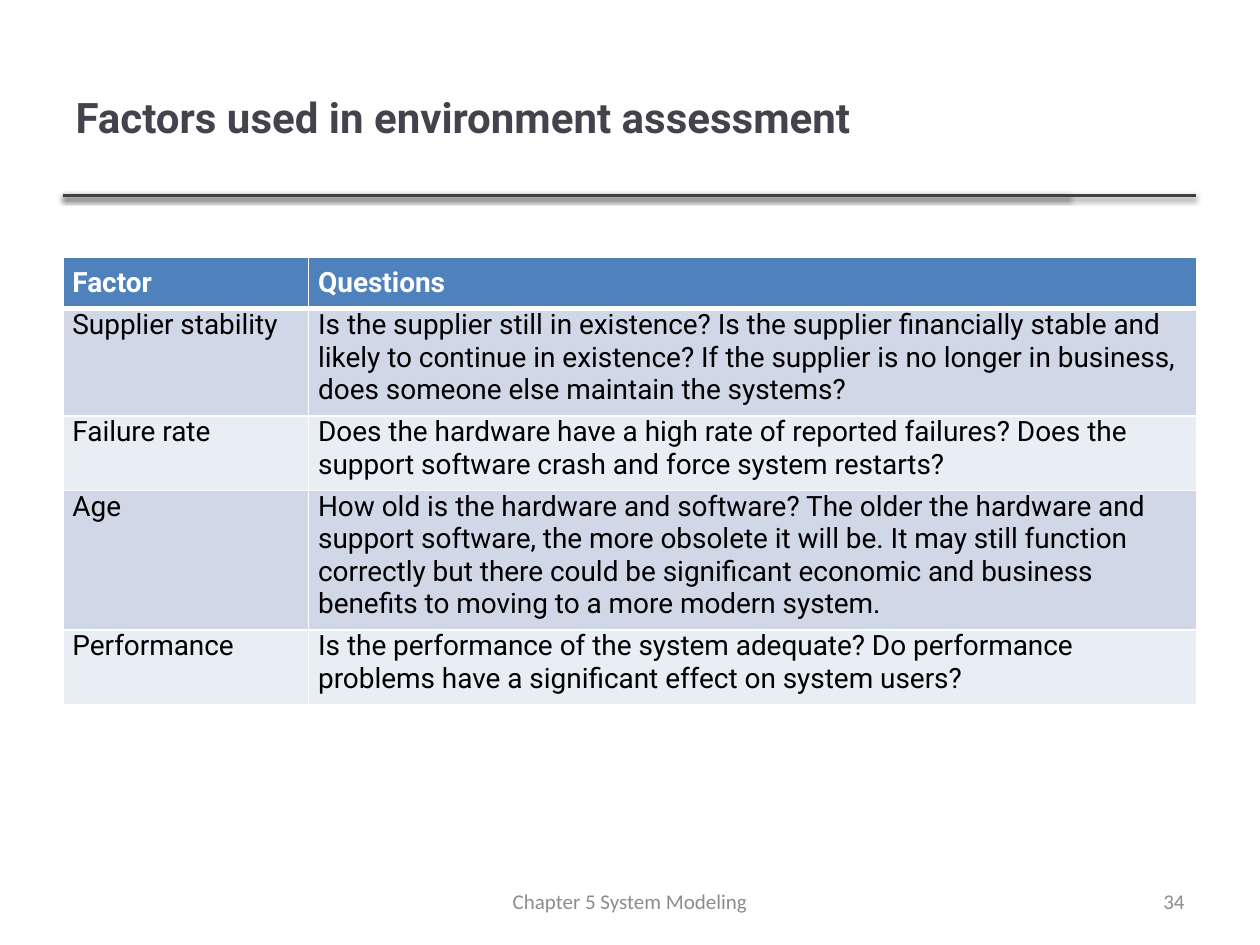
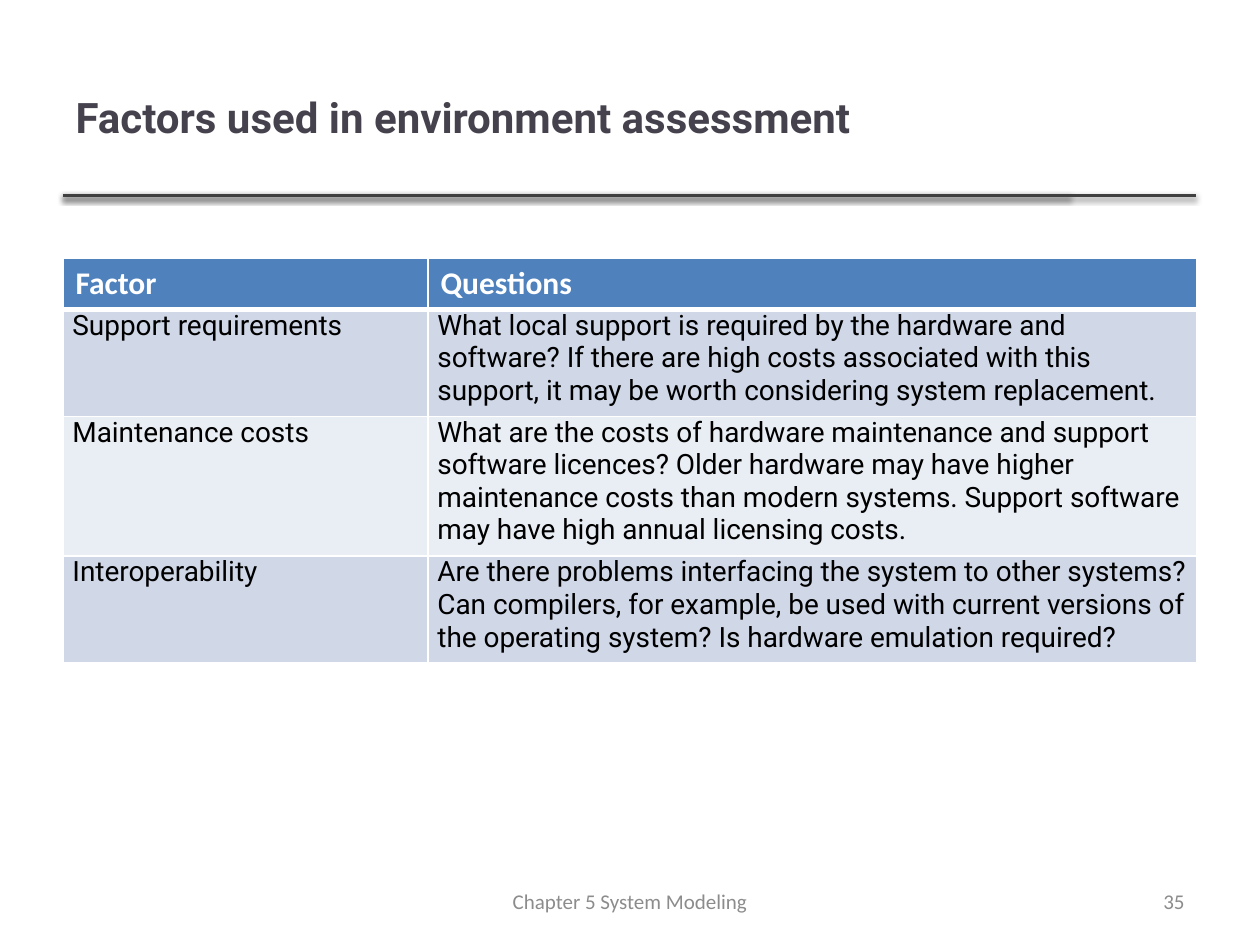
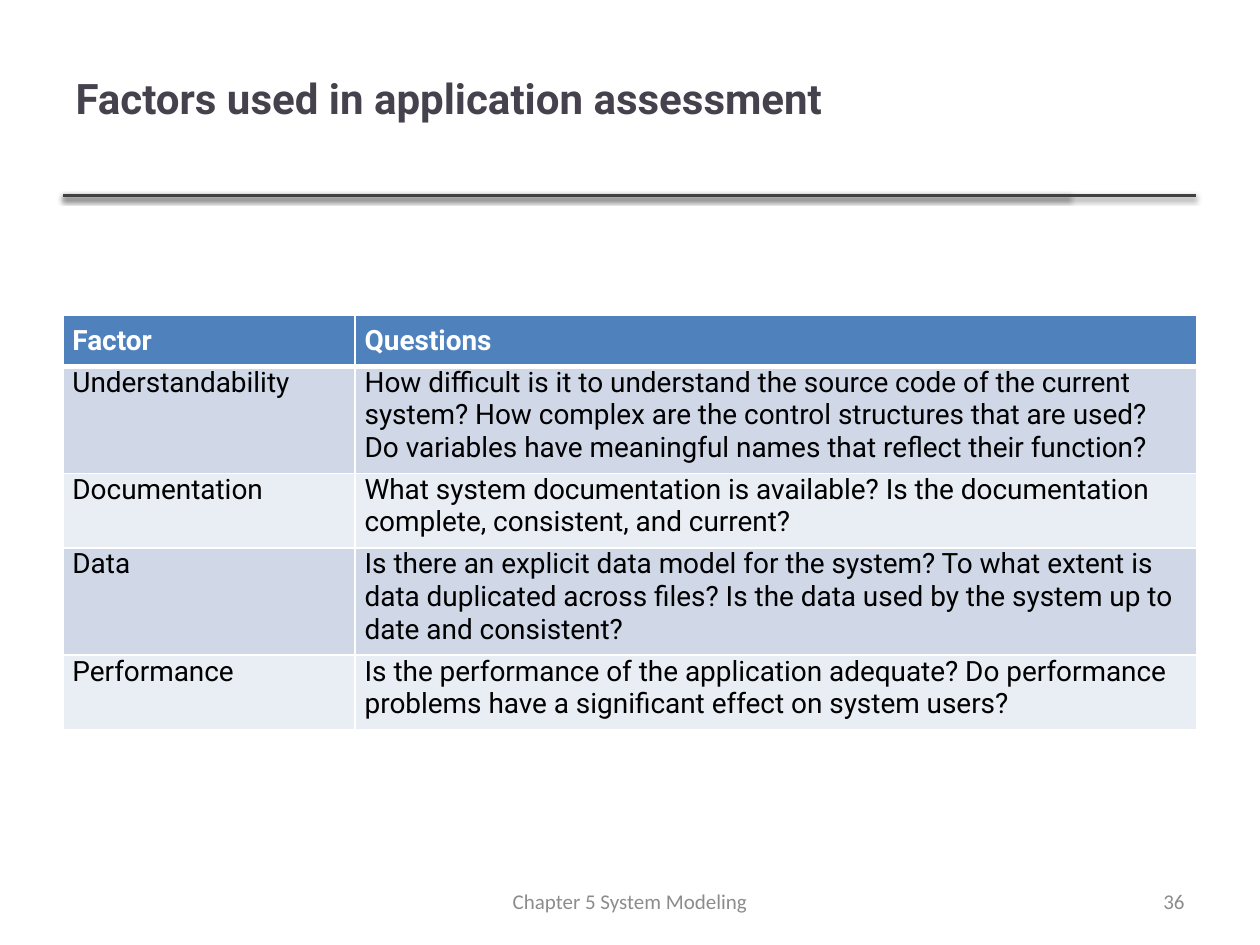
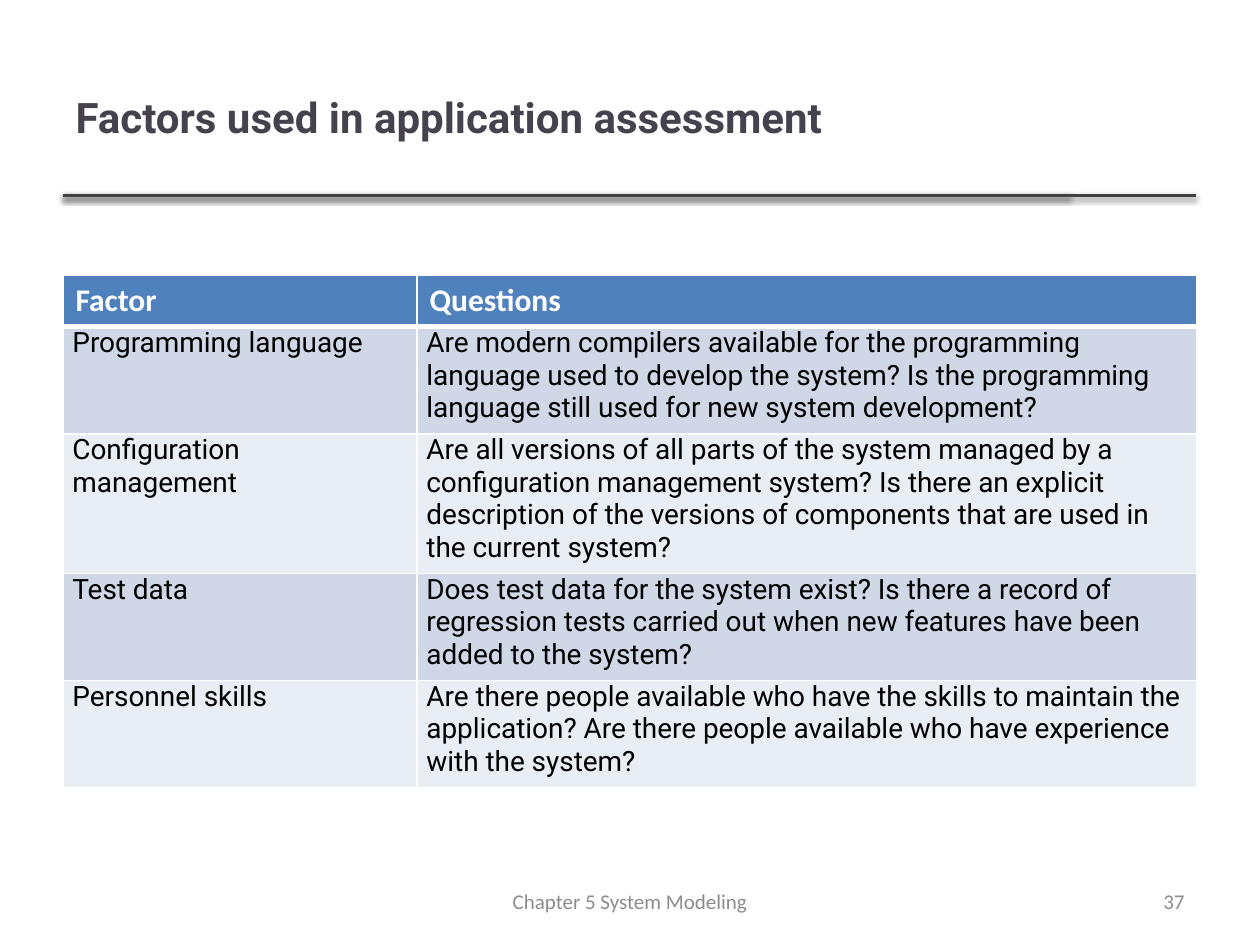
from pptx import Presentation
from pptx.dml.color import RGBColor
from pptx.enum.shapes import MSO_CONNECTOR as Connector
from pptx.enum.text import MSO_ANCHOR as Anchor, MSO_AUTO_SIZE as AutoSize, PP_ALIGN as Align
from pptx.oxml import parse_xml
from pptx.oxml.ns import nsdecls
from pptx.util import Pt

LEFT, CONTENT_WIDTH, TITLE_WIDTH = 36, 648, 574.5
RULE_TOP, RULE_ENDS = 111.6, (611.3, 683.3)
FOOTER_TOP, FOOTER_HEIGHT = 500.5, 29
ROW_HEIGHT = 29.2
HEADER_FILL, BAND_FILLS, BORDER = "4F81BD", ("D0D8E8", "E9EDF4"), "FFFFFF"

TITLE_FONT = {"name": "Roboto", "size": Pt(24), "bold": True, "color": "46424D"}
FOOTER_FONT = {"name": "Calibri", "size": Pt(12), "color": "8C8C8C"}
BODY_FONT = {"name": "Roboto", "size": Pt(16), "bold": False, "color": "000000"}
HEADER_FONT = {**BODY_FONT, "bold": True, "color": "FFFFFF"}
PLAIN_HEADER_FONT = {**HEADER_FONT, "name": "Calibri", "size": Pt(18)}

HEADER_MARGINS = {f"margin_{side}": Pt(5.4) for side in ("left", "top", "right", "bottom")}
BODY_MARGINS = {**HEADER_MARGINS, "margin_top": Pt(0)}

ENVIRONMENT = "Factors used in environment assessment"
APPLICATION = "Factors used in application assessment"

ASSESSMENTS = [
    {
        "title": ENVIRONMENT,
        "table_top": 147, "table_height": 265, "factor_width": 140.4,
        "factors": [
            ("Supplier stability",
             "Is the supplier still in existence? Is the supplier financially stable and likely to "
             "continue in existence? If the supplier is no longer in business, does someone else "
             "maintain the systems?"),
            ("Failure rate",
             "Does the hardware have a high rate of reported failures? Does the support software "
             "crash and force system restarts?"),
            ("Age",
             "How old is the hardware and software? The older the hardware and support software, "
             "the more obsolete it will be. It may still function correctly but there could be "
             "significant economic and business benefits to moving to a more modern system."),
            ("Performance",
             "Is the performance of the system adequate? Do performance problems have a "
             "significant effect on system users?"),
        ],
    },
    {
        "title": ENVIRONMENT, "plain_header": True,
        "table_top": 147.6, "table_height": 238.3, "factor_width": 208.6,
        "factors": [
            ("Support requirements",
             "What local support is required by the hardware and software? If there are high costs "
             "associated with this support, it may be worth considering system replacement."),
            ("Maintenance costs",
             "What are the costs of hardware maintenance and support software licences? Older "
             "hardware may have higher maintenance costs than modern systems. Support software "
             "may have high annual licensing costs."),
            ("Interoperability",
             "Are there problems interfacing the system to other systems? Can compilers, for "
             "example, be used with current versions of the operating system? Is hardware "
             "emulation required?"),
        ],
    },
    {
        "title": APPLICATION, "title_top": 10.8, "title_width": CONTENT_WIDTH,
        "table_top": 180, "table_height": 245.5, "factor_width": 167,
        "factors": [
            ("Understandability",
             "How difficult is it to understand the source code of the current system? How complex "
             "are the control structures that are used? Do variables have meaningful names that "
             "reflect their function?"),
            ("Documentation",
             "What system documentation is available? Is the documentation complete, consistent, "
             "and current?"),
            ("Data",
             "Is there an explicit data model for the system? To what extent is data duplicated "
             "across files? Is the data used by the system up to date and consistent?"),
            ("Performance",
             "Is the performance of the application adequate? Do performance problems have a "
             "significant effect on system users?"),
        ],
    },
    {
        "title": APPLICATION, "plain_header": True,
        "table_top": 157.5, "table_height": 301.7, "factor_width": 202.3,
        "factors": [
            ("Programming language",
             "Are modern compilers available for the programming language used to develop the "
             "system? Is the programming language still used for new system development?"),
            ("Configuration management",
             "Are all versions of all parts of the system managed by a configuration management "
             "system? Is there an explicit description of the versions of components that are "
             "used in the current system?"),
            ("Test data",
             "Does test data for the system exist? Is there a record of regression tests carried "
             "out when new features have been added to the system?"),
            ("Personnel skills",
             "Are there people available who have the skills to maintain the application? Are "
             "there people available who have experience with the system?"),
        ],
    },
]


def rgb(code):
    return RGBColor.from_string(code)


def apply(target, values):
    for attribute, value in values.items():
        setattr(target, attribute, value)


def write(frame, text, font, **paragraph_format):
    paragraph = frame.paragraphs[0]
    apply(paragraph, paragraph_format)
    run = paragraph.add_run()
    run.text = text
    apply(run.font, {key: value for key, value in font.items() if key != "color"})
    run.font.color.rgb = rgb(font["color"])


def add_rules(slide):
    for end in RULE_ENDS:
        rule = slide.shapes.add_connector(
            Connector.STRAIGHT, Pt(LEFT), Pt(RULE_TOP), Pt(end), Pt(RULE_TOP))
        rule.line.color.rgb = rgb("404040")
        rule.line.width = Pt(2)
        rule._element.spPr.append(parse_xml(
            f'<a:effectLst {nsdecls("a")}>'
            f'<a:outerShdw blurRad="{Pt(3.1)}" dist="{Pt(1.6)}" dir="5400000" rotWithShape="0">'
            '<a:srgbClr val="000000"><a:alpha val="38000"/></a:srgbClr>'
            '</a:outerShdw></a:effectLst>'))


def set_title(slide, text, top, width):
    title = slide.shapes.title
    apply(title, {"left": Pt(LEFT), "top": Pt(top), "width": Pt(width), "height": Pt(90)})
    apply(title.text_frame, {"word_wrap": True, "auto_size": AutoSize.NONE,
                             "vertical_anchor": Anchor.MIDDLE})
    write(title.text_frame, text, TITLE_FONT, alignment=Align.LEFT)


def add_footer(slide, text, left, width, alignment):
    footer = slide.shapes.add_textbox(Pt(left), Pt(FOOTER_TOP), Pt(width), Pt(FOOTER_HEIGHT))
    apply(footer.text_frame, {"word_wrap": True, "vertical_anchor": Anchor.MIDDLE})
    write(footer.text_frame, text, FOOTER_FONT, alignment=alignment)


def set_borders(cell, top, bottom):
    properties = cell._tc.get_or_add_tcPr()
    for side, width in {"L": 1, "R": 1, "T": top, "B": bottom}.items():
        properties.append(parse_xml(
            f'<a:ln{side} {nsdecls("a")} w="{Pt(width)}"><a:solidFill>'
            f'<a:srgbClr val="{BORDER}"/></a:solidFill></a:ln{side}>'))


def fill_cell(cell, text, font, fill, margins, space_after, top=1, bottom=1):
    set_borders(cell, top, bottom)
    cell.fill.solid()
    cell.fill.fore_color.rgb = rgb(fill)
    apply(cell, margins)
    write(cell.text_frame, text, font, space_after=Pt(space_after))


def add_factor_table(slide, factors, top, height, factor_width, plain_header):
    frame = slide.shapes.add_table(
        len(factors) + 1, 2, Pt(LEFT), Pt(top), Pt(CONTENT_WIDTH), Pt(height))
    table = frame.table
    for column, width in zip(table.columns, (factor_width, CONTENT_WIDTH - factor_width)):
        column.width = Pt(width)
    for row in table.rows:
        row.height = Pt(ROW_HEIGHT)
    frame.height = Pt(height)

    header_style = (PLAIN_HEADER_FONT, HEADER_FILL, {}, 0) if plain_header else (
        HEADER_FONT, HEADER_FILL, HEADER_MARGINS, 6)
    for column, heading in enumerate(("Factor", "Questions")):
        fill_cell(table.cell(0, column), heading, *header_style, bottom=3)
    for row, entry in enumerate(factors, start=1):
        for column, text in enumerate(entry):
            fill_cell(table.cell(row, column), text, BODY_FONT, BAND_FILLS[(row - 1) % 2],
                      BODY_MARGINS, 6, top=3 if row == 1 else 1)


def main():
    deck = Presentation()
    apply(deck, {"slide_width": Pt(720), "slide_height": Pt(540)})
    for number, assessment in enumerate(ASSESSMENTS, start=34):
        slide = deck.slides.add_slide(deck.slide_layouts.get_by_name("Title Only"))
        add_rules(slide)
        set_title(slide, assessment["title"], assessment.get("title_top", 21.6),
                  assessment.get("title_width", TITLE_WIDTH))
        add_factor_table(slide, assessment["factors"], assessment["table_top"],
                         assessment["table_height"], assessment["factor_width"],
                         assessment.get("plain_header", False))
        add_footer(slide, "Chapter 5 System Modeling", 246, 228, Align.CENTER)
        add_footer(slide, str(number), 516, 168, Align.RIGHT)
    deck.save("out.pptx")


if __name__ == "__main__":
    main()
